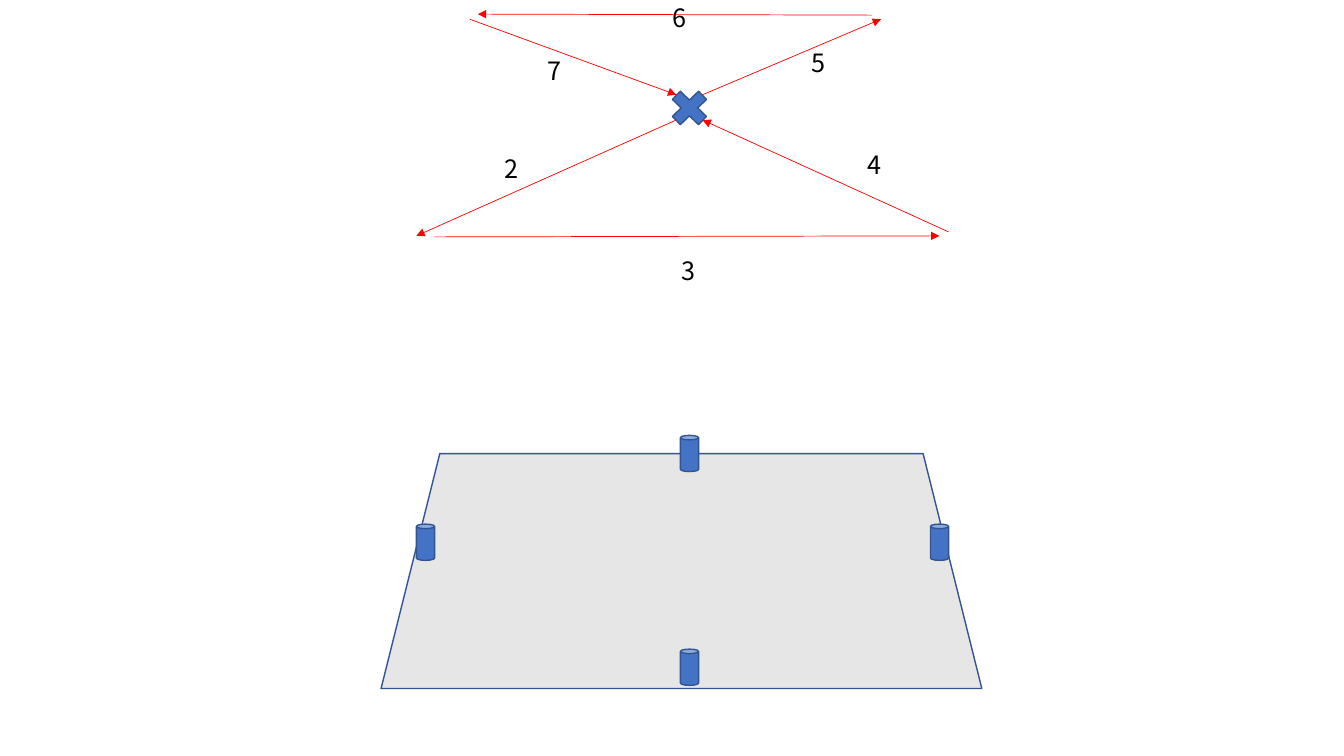
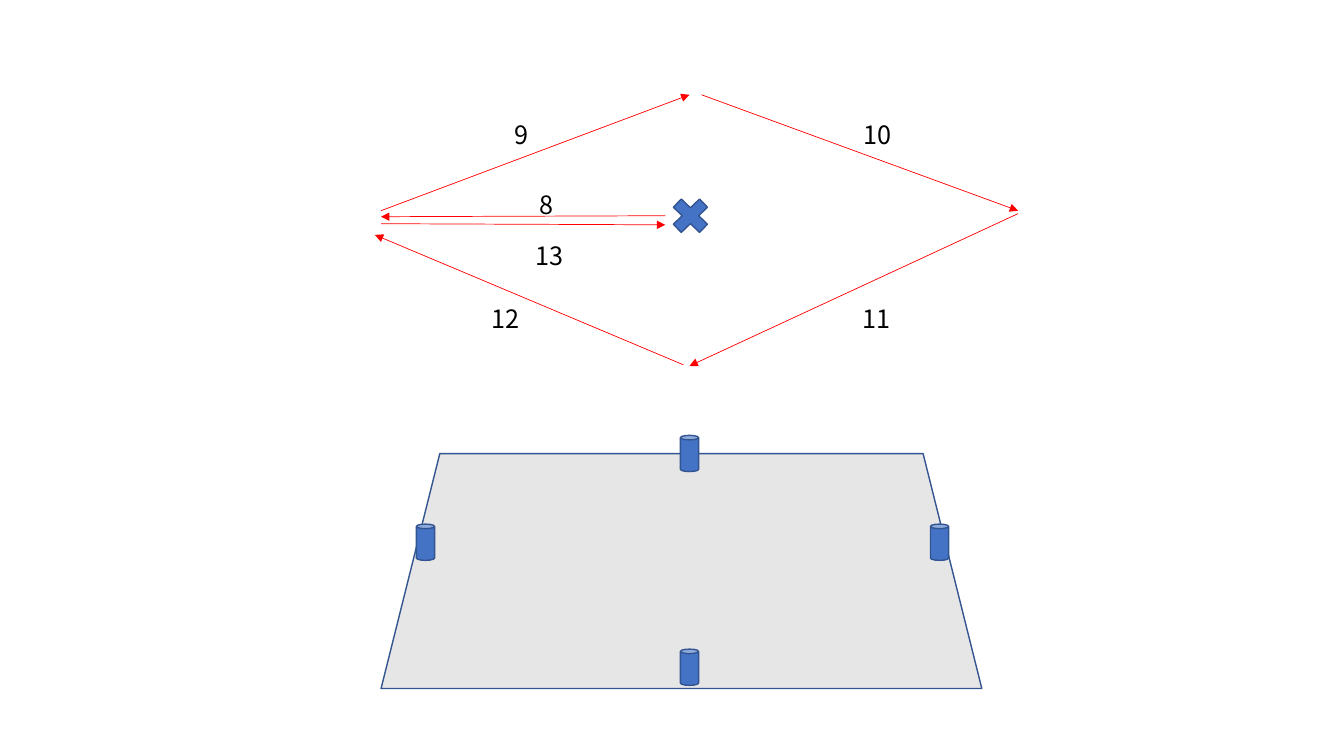
"""Two drill slides: numbered red passes above a court with four posts."""
from lxml import etree
from pptx import Presentation
from pptx.dml.color import RGBColor
from pptx.enum.shapes import MSO_CONNECTOR, MSO_SHAPE
from pptx.enum.text import MSO_AUTO_SIZE
from pptx.oxml.ns import qn
from pptx.util import Pt

STRAIGHT = MSO_CONNECTOR.STRAIGHT
COURT, POST, CROSS = MSO_SHAPE.TRAPEZOID, MSO_SHAPE.CAN, MSO_SHAPE.MATH_MULTIPLY
FIT = MSO_AUTO_SIZE.SHAPE_TO_FIT_TEXT
BLUE = RGBColor(0x44, 0x72, 0xC4)
NAVY = RGBColor(0x32, 0x54, 0x91)
GRAY = RGBColor(0xE7, 0xE6, 0xE6)
RED = RGBColor(0xFF, 0, 0)
BLACK = RGBColor(0, 0, 0)
FONT = {"name": "Noto Sans CJK KR", "size": Pt(18)}

POSTS = [(486, 311), (297.4, 374.4), (486, 463.7), (664.6, 374.4)]
DRILLS = [
    {
        "cross": (474.5, 59.8),
        "passes": [
            (483.1, 85.7, 297.4, 168.5),
            (310.3, 169.2, 671, 168.5),
            (677.5, 165.6, 501.8, 85.7),
            (501.8, 67.7, 629.3, 13.7),
            (622.8, 10.8, 341.3, 10.1),
            (335.5, 13.7, 483.1, 67.7),
        ],
        "labels": [
            ("2", 353.5, 105.8), ("6", 473, -2.2), ("7", 383.8, 36),
            ("5", 572.4, 30.2), ("3", 479.5, 178.6), ("4", 612.7, 103),
        ],
    },
    {
        "cross": (475.2, 136.8),
        "passes": [
            (475.2, 154.1, 272.2, 154.8),
            (272.2, 150.5, 492.5, 67.7),
            (727.2, 152.6, 492.5, 261.4),
            (501.1, 67.7, 727.2, 150.5),
            (488.2, 260.6, 267.8, 167.8),
            (272.2, 159.8, 475.2, 160.6),
        ],
        "labels": [
            ("8", 378, 131.8), ("9", 360.7, 81.4), ("10", 609.8, 81.4),
            ("11", 609.1, 213.1), ("13", 375.1, 167.8), ("12", 344.2, 213.1),
        ],
    },
]

deck = Presentation()
deck.slide_width, deck.slide_height = Pt(960), Pt(540)
blank = deck.slide_layouts[6]


def add_form(slide, kind, left, top, width, height, fill):
    form = slide.shapes.add_shape(kind, Pt(left), Pt(top), Pt(width), Pt(height))
    form.shadow.inherit = False
    form.fill.solid()
    form.fill.fore_color.rgb = fill
    form.line.color.rgb = NAVY
    form.line.width = Pt(1)


def add_pass(slide, ends):
    arrow = slide.shapes.add_connector(STRAIGHT, *map(Pt, ends))
    arrow.line.color.rgb = RED
    arrow.line.width = Pt(0.5)
    tip = etree.SubElement(arrow.line._get_or_add_ln(), qn("a:tailEnd"))
    tip.set("type", "triangle")
    etree.SubElement(arrow._element.spPr, qn("a:effectLst"))


for drill in DRILLS:
    slide = deck.slides.add_slide(blank)
    add_form(slide, COURT, 272.2, 324, 429.1, 167.8, GRAY)
    for left, top in POSTS:
        add_form(slide, POST, left, top, 13, 25.9, BLUE)
    add_form(slide, CROSS, *drill["cross"], 36, 34.6, BLUE)
    for ends in drill["passes"]:
        add_pass(slide, ends)
    for text, left, top in drill["labels"]:
        box = slide.shapes.add_textbox(Pt(left), Pt(top), Pt(34.6), Pt(28.8))
        frame = box.text_frame
        frame.word_wrap = True
        frame.auto_size = FIT
        run = frame.paragraphs[0].add_run()
        run.text = text
        for key, value in FONT.items():
            setattr(run.font, key, value)
        run.font.color.rgb = BLACK

deck.save("out.pptx")
